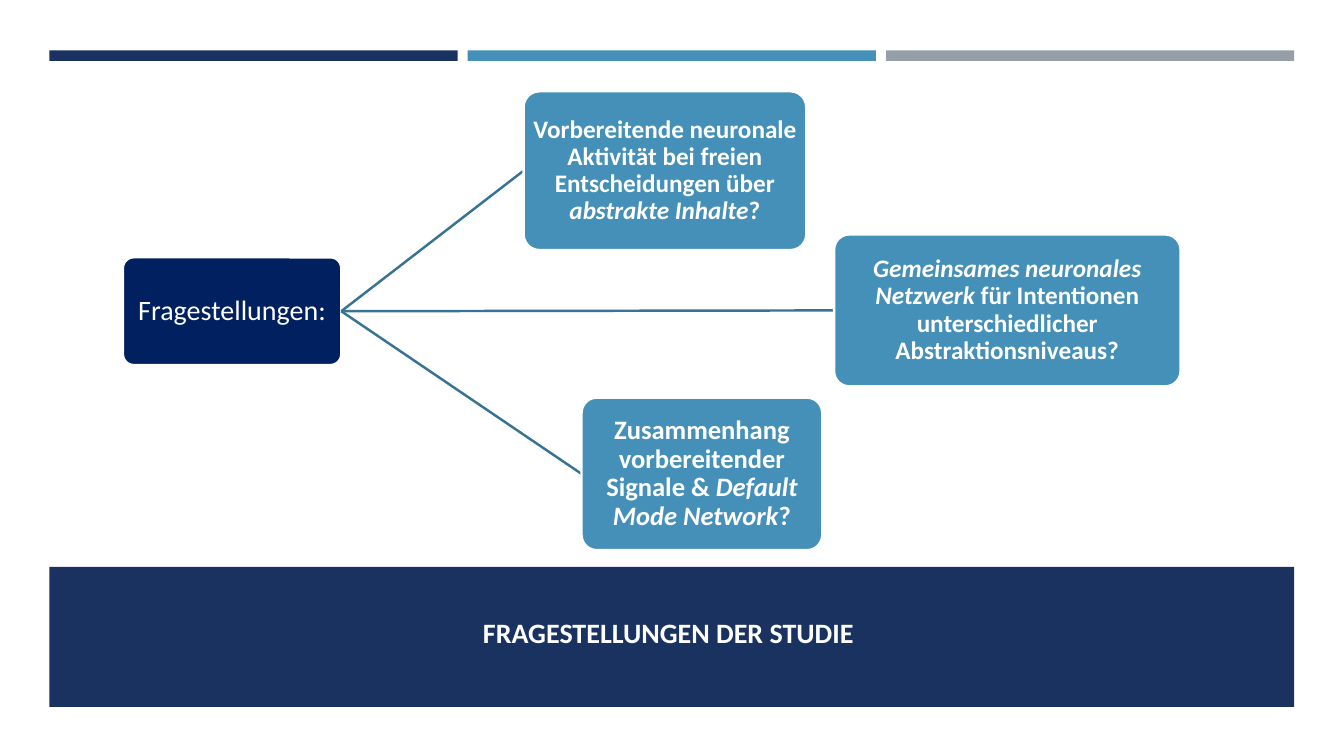
import pptx
import pptx.dml.color
import pptx.enum.shapes
import pptx.enum.text
import pptx.oxml
import pptx.util

Pt = pptx.util.Pt
SHAPE = pptx.enum.shapes.MSO_SHAPE

COLORS = {"navy": "1A3260", "blue": "4590B8", "grey": "969FA7",
          "root": "002060", "line": "377393", "white": "FFFFFF"}
FONT = "Calibri"

# Runs are (text, italic); boxes are (left, top, width, height) in points
TITLE = [("FRAGESTELLUNGEN DER STUDIE", False)]
TITLE_BOX = (276.5, 414, 402, 78.5)
ROOT = [("Fragestellungen:", False)]
ROOT_BOX = (87.8, 183.8, 156, 77)
QUESTIONS = [
    ((374, 65.2, 202, 113.5), 18,
     [("Vorbereitende neuronale Aktivität bei freien Entscheidungen über ", False),
      ("abstrakte Inhalte", True), ("?", False)]),
    ((595.8, 167.5, 247.5, 108.5), 18,
     [("Gemeinsames neuronales Netzwerk ", True),
      ("für Intentionen unterschiedlicher Abstraktionsniveaus?", False)]),
    ((415.4, 284, 172, 109), 19,
     [("Zusammenhang vorbereitender Signale & ", False),
      ("Default Mode Network", True), ("?", False)]),
]

BAR_COLORS = ["navy", "blue", "grey"]
LEFT, BAR_TOP, BAR_W, BAR_H, BAR_GAP = 35.3, 36, 291.6, 7.5, 7.2
BAND_TOP, BAND_H = 404.9, 100.1
CONTENT_W = 3 * BAR_W + 2 * BAR_GAP
INSET = 0.7


def rgb(name):
    return pptx.dml.color.RGBColor.from_string(COLORS[name])


def add_box(s, kind, box, fill, outline=None):
    sp = s.shapes.add_shape(kind, *map(Pt, box))
    sp.shadow.inherit = False
    sp.fill.solid()
    sp.fill.fore_color.rgb = rgb(fill)
    if outline:
        sp.line.color.rgb = rgb(outline)
        sp.line.width = Pt(1.75)
    else:
        sp.line.fill.background()
    return sp


def set_text(sp, runs, size=20, bold=True, color="white"):
    tf = sp.text_frame
    tf.word_wrap = True
    tf.vertical_anchor = pptx.enum.text.MSO_ANCHOR.MIDDLE
    tf.margin_left = tf.margin_right = tf.margin_top = tf.margin_bottom = Pt(INSET)
    p = tf.paragraphs[0]
    p.alignment = pptx.enum.text.PP_ALIGN.CENTER
    p.line_spacing = 0.9
    for text, italic in runs:
        r = p.add_run()
        r.text = text
        r.font.name = FONT
        r.font.size = Pt(size)
        r.font.bold = bold
        r.font.italic = italic
        r.font.color.rgb = rgb(color)


def add_node(s, box, fill, runs, **text_format):
    sp = add_box(s, SHAPE.ROUNDED_RECTANGLE, box, fill, outline="white")
    sp.adjustments[0] = 0.1
    set_text(sp, runs, **text_format)
    return sp


def join(s, source, target):
    """Connect right side to left side, keeping the line beneath the target."""
    line = s.shapes.add_connector(pptx.enum.shapes.MSO_CONNECTOR.STRAIGHT, 0, 0, 0, 0)
    line.begin_connect(source, 3)
    line.end_connect(target, 1)
    line.line.color.rgb = rgb("line")
    line.line.width = Pt(1.75)
    line.element.spPr.append(pptx.oxml.parse_xml(
        '<a:effectLst xmlns:a="http://schemas.openxmlformats.org/drawingml/2006/main"/>'))
    target.element.addprevious(line.element)


def main():
    prs = pptx.Presentation()
    prs.slide_width, prs.slide_height = Pt(960), Pt(540)
    s = prs.slides.add_slide(prs.slide_layouts[6])

    for i, color in enumerate(BAR_COLORS):
        left = LEFT + i * (BAR_W + BAR_GAP)
        add_box(s, SHAPE.RECTANGLE, (left, BAR_TOP, BAR_W, BAR_H), color)
    add_box(s, SHAPE.RECTANGLE, (LEFT, BAND_TOP, CONTENT_W, BAND_H), "navy")
    set_text(s.shapes.add_textbox(*map(Pt, TITLE_BOX)), TITLE)

    root = add_node(s, ROOT_BOX, "root", ROOT, bold=False)
    for box, size, runs in QUESTIONS:
        join(s, root, add_node(s, box, "blue", runs, size=size))

    prs.save("out.pptx")


if __name__ == "__main__":
    main()
